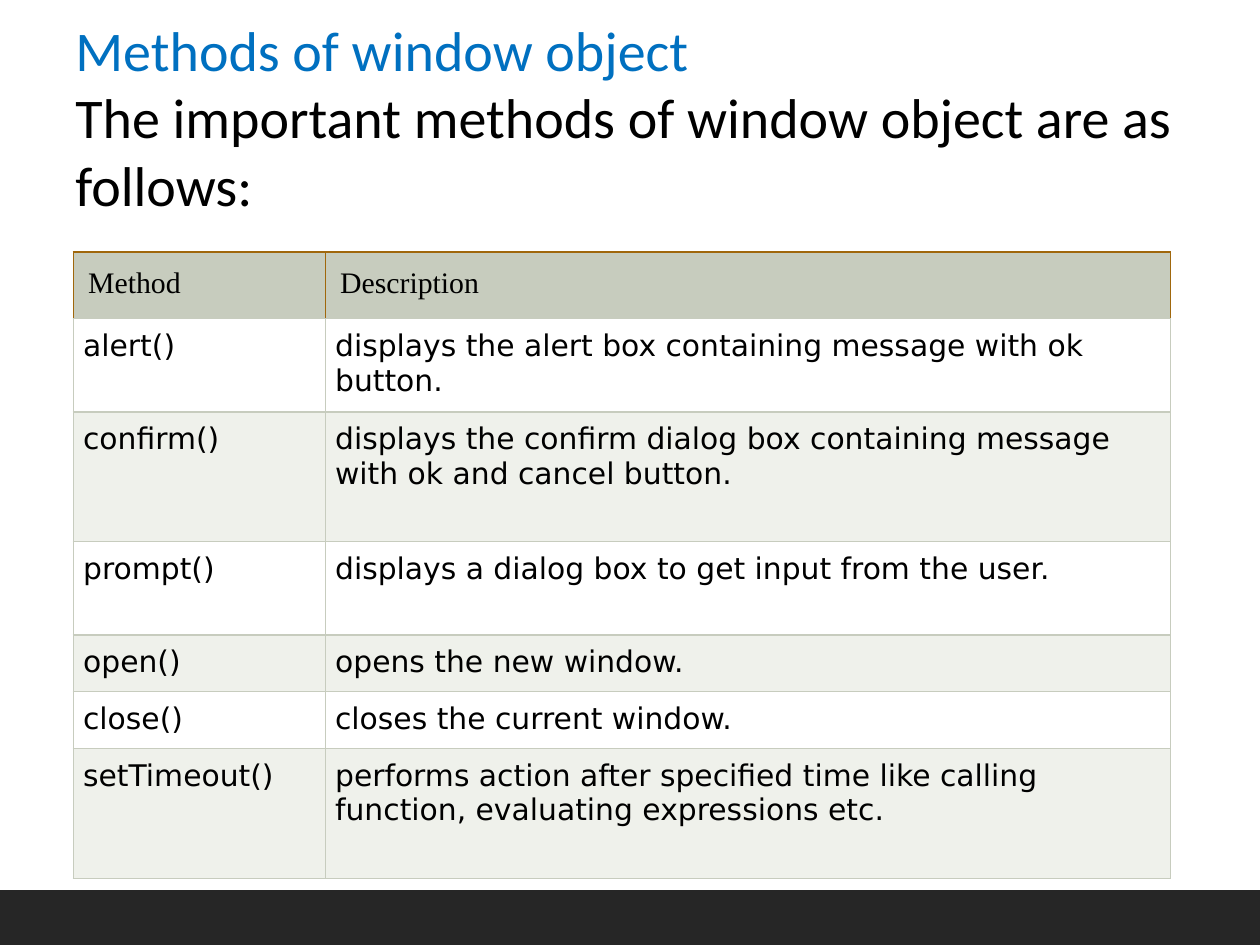
from dataclasses import dataclass

from lxml.etree import SubElement
from pptx import Presentation
from pptx.dml.color import RGBColor
from pptx.enum.shapes import MSO_SHAPE
from pptx.enum.text import MSO_ANCHOR
from pptx.oxml.ns import qn
from pptx.util import Inches, Pt


@dataclass(frozen=True)
class Theme:
    heading: str = "0070C0"
    text: str = "000000"
    header_fill: str = "C7CCBE"
    band_fills: tuple = ("FFFFFF", "EFF1EB")
    grid: str = "C7CCBE"
    header_edge: str = "A0670C"
    footer: str = "262626"
    title_font: str = "Calibri"
    header_font: str = "Times New Roman"
    body_font: str = "DejaVu Sans"
    title_size: int = 32
    table_size: int = 17


THEME = Theme()


def format_runs(paragraph, font, size, color):
    for run in paragraph.runs:
        run.font.name = font
        run.font.size = Pt(size)
        run.font.color.rgb = RGBColor.from_string(color)


def set_borders(cell, colors):
    """Draw thin cell edges; colors run left, right, top, bottom."""
    properties = cell._tc.get_or_add_tcPr()
    for position, (side, color) in enumerate(zip(("lnL", "lnR", "lnT", "lnB"), colors)):
        edge = SubElement(properties, qn(f"a:{side}"), w=str(Pt(0.75)))
        solid = SubElement(edge, qn("a:solidFill"))
        SubElement(solid, qn("a:srgbClr"), val=color)
        properties.insert(position, edge)  # edges come before the fill


presentation = Presentation()
presentation.slide_width = Inches(10)
presentation.slide_height = Inches(7.5)
slide = presentation.slides.add_slide(presentation.slide_layouts[6])

# Title
title = slide.shapes.add_textbox(Inches(0.5), Inches(0.3), Inches(9), Inches(1.25)).text_frame
title.word_wrap = True
title.vertical_anchor = MSO_ANCHOR.MIDDLE
title.text = "Methods of window object\nThe important methods of window object are as follows:"
for paragraph, color in zip(title.paragraphs, (THEME.heading, THEME.text)):
    format_runs(paragraph, THEME.title_font, THEME.title_size, color)

# Table of methods
methods = [
    ("Method", "Description", 0.53),
    ("alert()", "displays the alert box containing message with ok button.", 0.74),
    ("confirm()", "displays the confirm dialog box containing message with ok and cancel button.", 1.03),
    ("prompt()", "displays a dialog box to get input from the user.", 0.74),
    ("open()", "opens the new window.", 0.45),
    ("close()", "closes the current window.", 0.45),
    ("setTimeout()", "performs action after specified time like calling function, "
                     "evaluating expressions etc.", 1.03),
]
table = slide.shapes.add_table(
    len(methods), 2, Inches(0.58), Inches(2), Inches(8.71), Inches(4.97)).table
for column, width in zip(table.columns, (2, 6.71)):
    column.width = Inches(width)

for row_index, (method, description, height) in enumerate(methods):
    table.rows[row_index].height = Inches(height)
    if row_index == 0:
        fill, font, inset = THEME.header_fill, THEME.header_font, Inches(0.12)
        borders = [THEME.header_edge] * 3 + [THEME.grid]
    else:
        fill = THEME.band_fills[(row_index - 1) % 2]
        font, inset = THEME.body_font, Inches(0.08)
        borders = [THEME.grid] * 4
    for column_index, wording in enumerate((method, description)):
        cell = table.cell(row_index, column_index)
        cell.text_frame.text = wording
        format_runs(cell.text_frame.paragraphs[0], font, THEME.table_size, THEME.text)
        cell.margin_left = cell.margin_right = inset
        cell.margin_top = cell.margin_bottom = inset
        cell.fill.solid()
        cell.fill.fore_color.rgb = RGBColor.from_string(fill)
        set_borders(cell, borders)

# Footer band
footer = slide.shapes.add_shape(
    MSO_SHAPE.RECTANGLE, Inches(0), Inches(7.08), Inches(10), Inches(0.42))
footer.shadow.inherit = False
footer.fill.solid()
footer.fill.fore_color.rgb = RGBColor.from_string(THEME.footer)
footer.line.color.rgb = RGBColor.from_string(THEME.footer)
footer.line.width = Pt(2)

presentation.save("out.pptx")
